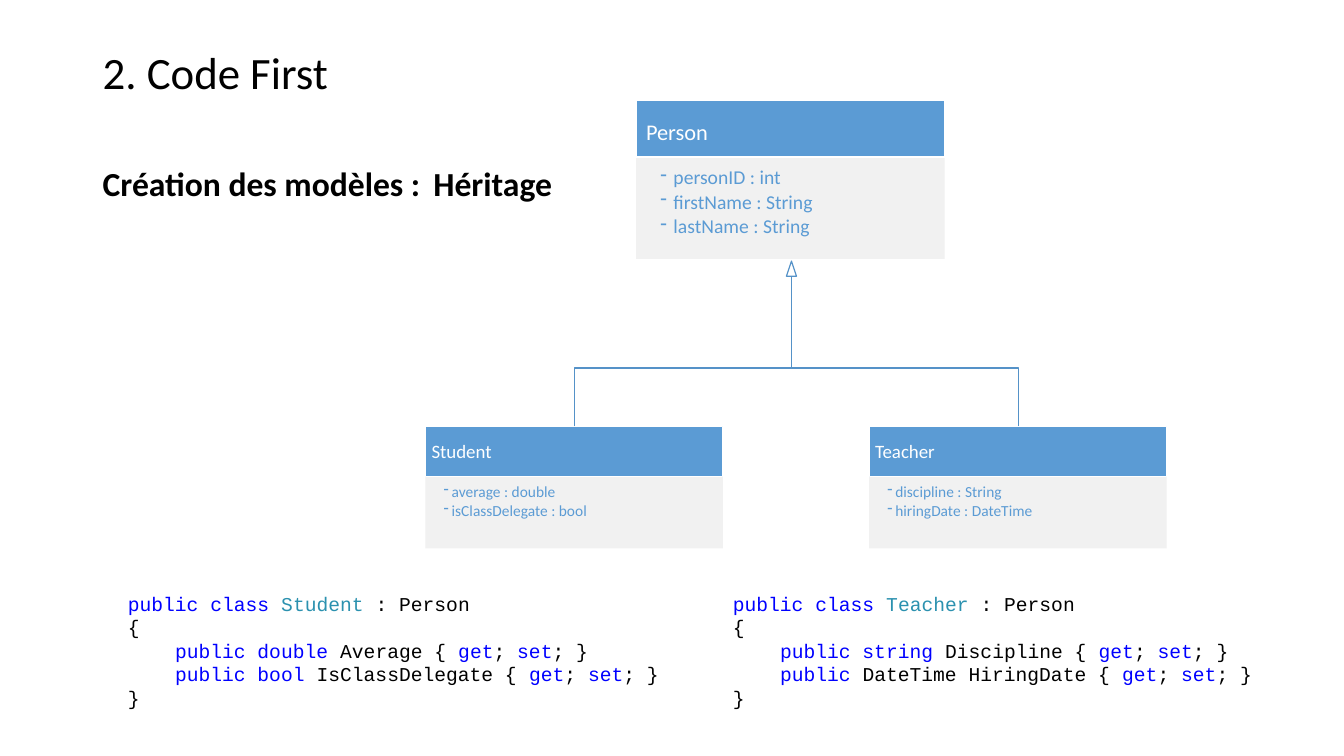
from lxml import etree
from pptx import Presentation
from pptx.dml.color import RGBColor
from pptx.enum import shapes, text
from pptx.oxml.ns import qn
from pptx.util import Inches, Pt

BLACK = RGBColor(0x00, 0x00, 0x00)
WHITE = RGBColor(0xFF, 0xFF, 0xFF)
BLUE = RGBColor(0x5B, 0x9B, 0xD4)
LINE_BLUE = RGBColor(0x55, 0x92, 0xC8)
PALE_GREY = RGBColor(0xF1, 0xF1, 0xF1)
KEYWORD = RGBColor(0x00, 0x00, 0xFF)
TYPE_NAME = RGBColor(0x2B, 0x91, 0xAF)

prs = Presentation()
prs.slide_width, prs.slide_height = Inches(13.33), Inches(7.5)
slide = prs.slides.add_slide(prs.slide_layouts[6])


def add_text_box(left, top, width, height):
    frame = slide.shapes.add_textbox(
        Inches(left), Inches(top), Inches(width), Inches(height)).text_frame
    frame.word_wrap = True
    return frame


def add_panel(left, top, width, height, fill, inset_left, inset_top):
    """Add a filled rectangle with top-left text; return the shape."""
    panel = slide.shapes.add_shape(
        shapes.MSO_SHAPE.RECTANGLE,
        Inches(left), Inches(top), Inches(width), Inches(height))
    panel.shadow.inherit = False
    panel.fill.solid()
    panel.fill.fore_color.rgb = fill
    panel.line.fill.background()
    frame = panel.text_frame
    frame.word_wrap = True
    frame.vertical_anchor = text.MSO_ANCHOR.TOP
    frame.margin_left, frame.margin_top = Inches(inset_left), Inches(inset_top)
    frame.margin_right = frame.margin_bottom = 0
    return panel


# Headings: wording, left, top, width, height, size, bold
for wording, left, top, width, height, size, bold in [
    ("2. Code First", 0.92, 0.4, 11.5, 0.63, 32, False),
    ("Création des modèles :", 0.92, 1.57, 3.37, 0.5, 24, True),
    ("Héritage", 4.2, 1.57, 3.37, 0.5, 24, True),
]:
    frame = add_text_box(left, top, width, height)
    frame.vertical_anchor = text.MSO_ANCHOR.MIDDLE
    heading = frame.paragraphs[0]
    heading.text = wording
    heading.font.name, heading.font.size = "Calibri", Pt(size)
    heading.font.bold, heading.font.color.rgb = bold, BLACK

# Class boxes: name, fields, left, top, width, heights of head and body,
# name size / inset / top inset / border, field size / indent / hang / top inset
PERSON_STYLE = (3.06, 0.57, 1.01, 16, 0.1, 0.18, 1.29, 14, 0.37, 0.13, 0.08)
CHILD_STYLE = (2.95, 0.5, 0.71, 13.5, 0.06, 0.13, 0.86, 11, 0.26, 0.08, 0.05)
for class_name, fields, left, top, style in [
    ("Person", ["personID : int", "firstName : String", "lastName : String"],
     6.31, 0.99, PERSON_STYLE),
    ("Student", ["average : double", "isClassDelegate : bool"],
     4.22, 4.23, CHILD_STYLE),
    ("Teacher", ["discipline : String", "hiringDate : DateTime"],
     8.62, 4.23, CHILD_STYLE),
]:
    (width, head_height, body_height, name_size, name_inset, name_top, border,
     field_size, field_indent, hang, field_top) = style

    body = add_panel(left, top + head_height, width, body_height,
                     PALE_GREY, 0, field_top)
    for index, field in enumerate(fields):
        paragraphs = body.text_frame
        line = paragraphs.add_paragraph() if index else paragraphs.paragraphs[0]
        line.text = field
        line.alignment = text.PP_ALIGN.LEFT
        if index:
            line.space_before = Pt(0.5)
        properties = line._p.get_or_add_pPr()
        properties.set("marL", str(Inches(field_indent)))
        properties.set("indent", str(-Inches(hang)))
        etree.SubElement(properties, qn("a:buChar")).set("char", "-")
        line.font.name, line.font.size = "Calibri", Pt(field_size)
        line.font.color.rgb = BLUE

    head = add_panel(left, top, width, head_height, BLUE, name_inset, name_top)
    head.line.color.rgb, head.line.width = WHITE, Pt(border)
    title = head.text_frame.paragraphs[0]
    title.text = class_name
    title.alignment = text.PP_ALIGN.LEFT
    title.font.name, title.font.size = "Calibri", Pt(name_size)
    title.font.color.rgb = WHITE

# Inheritance links, meeting under one hollow arrowhead
TRUNK_X, BRANCH_Y, TIP_Y, TIP_BASE_Y = 7.85, 3.65, 2.59, 2.74
arrowhead = slide.shapes.add_shape(
    shapes.MSO_SHAPE.ISOSCELES_TRIANGLE, Inches(TRUNK_X - 0.05), Inches(TIP_Y),
    Inches(0.1), Inches(TIP_BASE_Y - TIP_Y))
links = [arrowhead]
for child_x in (5.7, 10.1):
    route = slide.shapes.build_freeform(Inches(child_x), Inches(4.23))
    route.add_line_segments(
        [(Inches(x), Inches(y)) for x, y in
         [(child_x, BRANCH_Y), (TRUNK_X, BRANCH_Y), (TRUNK_X, TIP_BASE_Y)]],
        close=False)
    links.append(route.convert_to_shape())
for link in links:
    link.shadow.inherit = False
    link.fill.background()
    link.line.color.rgb, link.line.width = LINE_BLUE, Pt(0.86)

# Code listings: "|" separates the pieces that are coloured on their own
SYNTAX = {"Student": TYPE_NAME, "Teacher": TYPE_NAME}
for keyword in ("public class", "public double", "public bool",
                "public string", "public", "get", "set"):
    SYNTAX[keyword] = KEYWORD

for class_name, members, left, width in [
    ("Student", ["public double| Average", "public bool| IsClassDelegate"],
     1.17, 5.63),
    ("Teacher", ["public string| Discipline", "public| DateTime HiringDate"],
     7.17, 5.48),
]:
    listing = add_text_box(left, 5.82, width, 1.28)
    code = [f"public class| |{class_name}| : Person", "{"]
    code += [f"    |{member} {{ |get|; |set|; }}" for member in members]
    code.append("}")
    for index, code_line in enumerate(code):
        line = listing.add_paragraph() if index else listing.paragraphs[0]
        line.font.name, line.font.size = "Courier New", Pt(14)
        for piece in code_line.split("|"):
            run = line.add_run()
            run.text = piece
            run.font.color.rgb = SYNTAX.get(piece, BLACK)

prs.save("out.pptx")
